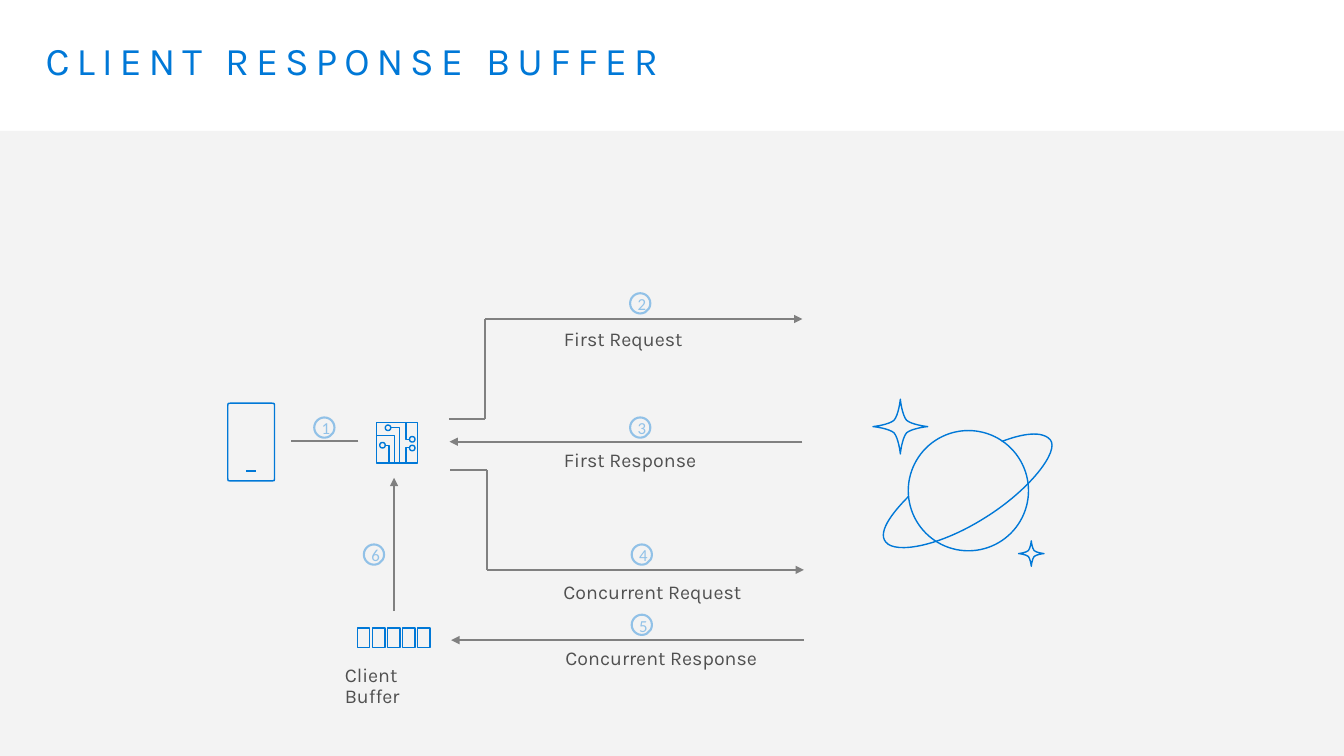
from dataclasses import dataclass

from lxml.etree import SubElement
from pptx import Presentation
from pptx.dml.color import RGBColor
from pptx.enum.shapes import MSO_CONNECTOR, MSO_SHAPE
from pptx.enum.text import MSO_ANCHOR, PP_ALIGN
from pptx.oxml.ns import qn
from pptx.util import Cm, Pt


@dataclass(frozen=True)
class Theme:
    accent: RGBColor = RGBColor(0x00, 0x78, 0xD7)
    band: RGBColor = RGBColor(0xF2, 0xF2, 0xF2)
    badge: RGBColor = RGBColor(0xF3, 0xF3, 0xF3)
    number: RGBColor = RGBColor(0x92, 0xC2, 0xE8)
    arrow: RGBColor = RGBColor(0x80, 0x80, 0x80)
    text: RGBColor = RGBColor(0x50, 0x50, 0x50)
    font: str = "Karla"
    number_font: str = "Calibri"
    title_size: Pt = Pt(28)
    label_size: Pt = Pt(14)
    number_size: Pt = Pt(12)
    icon_line: Pt = Pt(1)
    flow_line: Pt = Pt(1.5)


T = Theme()


def set_alpha(fill_element, percent):
    color = next(fill_element.iter(qn("a:srgbClr")))
    SubElement(color, qn("a:alpha")).set("val", str(percent * 1000))


def outline(sp):
    """Leave only a thin accent outline."""
    sp.shadow.inherit = False
    sp.fill.background()
    sp.line.color.rgb = T.accent
    sp.line.width = T.icon_line
    return sp


def add_icon_shape(s, kind, x, y, w, h):
    return outline(s.shapes.add_shape(kind, Cm(x), Cm(y), Cm(w), Cm(h)))


def add_curves(s, x, y, *contours):
    """Draw (points, closed) contours, each a chain of cubic Bezier segments in cm from (x, y)."""
    builder = None
    for points, closed in contours:
        start, *rest = [(Cm(x + px), Cm(y + py)) for px, py in points]
        if builder is None:
            builder = s.shapes.build_freeform(*start)
        else:
            builder.move_to(*start)
        builder.add_line_segments(rest, close=closed)
    sp = outline(builder.convert_to_shape())
    lines = list(sp._element.iter(qn("a:lnTo")))
    for i in range(0, len(lines), 3):
        segment = lines[i].makeelement(qn("a:cubicBezTo"))
        lines[i].addprevious(segment)
        for line in lines[i:i + 3]:
            segment.append(line[0])
            line.getparent().remove(line)
    return sp


def add_line(s, start, end, kind=MSO_CONNECTOR.STRAIGHT, color=T.arrow, width=T.flow_line):
    c = s.shapes.add_connector(kind, *map(Cm, start + end))
    c.line.color.rgb = color
    c.line.width = width
    SubElement(c._element.spPr, qn("a:effectLst"))
    return c


def add_route(s, *points):
    """Join the points with lines, the last one ending in an arrowhead."""
    for start, end in zip(points, points[1:]):
        c = add_line(s, start, end)
    SubElement(c.line._get_or_add_ln(), qn("a:tailEnd")).set("type", "triangle")


def add_text(s, text, x, y, w, h, size, color, inset):
    tf = s.shapes.add_textbox(Cm(x), Cm(y), Cm(w), Cm(h)).text_frame
    tf.word_wrap = True
    tf.margin_left = tf.margin_right = Cm(inset[0])
    tf.margin_top = tf.margin_bottom = Cm(inset[1])
    p = tf.paragraphs[0]
    p.line_spacing = 0.9
    r = p.add_run()
    r.text = text
    p.font.name, p.font.size, p.font.color.rgb = T.font, size, color
    return r


def add_label(s, text, x, y, w):
    add_text(s, text, x, y, w, 1.37, T.label_size, T.text, (0.51, 0.41))


def add_badge(s, number, x, y, size=0.51):
    sp = add_icon_shape(s, MSO_SHAPE.OVAL, x, y, size, size)
    sp.fill.solid()
    sp.fill.fore_color.rgb = T.badge
    sp.line.width = T.flow_line
    set_alpha(sp.line._get_or_add_ln(), 40)
    tf = sp.text_frame
    tf.word_wrap = False
    tf.vertical_anchor = MSO_ANCHOR.MIDDLE
    tf.margin_left, tf.margin_top = Cm(0.08), Cm(0.03)
    tf.margin_right = tf.margin_bottom = 0
    p = tf.paragraphs[0]
    p.text = str(number)
    p.alignment = PP_ALIGN.CENTER
    p.font.name, p.font.size = T.number_font, T.number_size
    p.font.color.rgb = T.number


def add_header(s, w, h, title):
    band = s.shapes.add_shape(MSO_SHAPE.RECTANGLE, 0, Cm(3.3), Cm(w), Cm(h - 3.3))
    band.shadow.inherit = False
    band.fill.solid()
    band.fill.fore_color.rgb = T.band
    set_alpha(band._element.spPr, 89)
    band.line.fill.background()
    r = add_text(s, title, 0.74, 0.81, w - 1.48, 2.49, T.title_size, T.accent, (0.41, 0.25))
    r._r.get_or_add_rPr().set("spc", "500")


def add_star(s, cx, cy, radius):
    points = [(-radius, 0)]
    dx, dy = radius, 0
    for _ in range(4):
        for along, side in ((-0.96, 0), (-0.41, 0.07), (-0.23, 0.23),
                            (-0.07, 0.41), (0, 0.96), (0, 1)):
            points.append((along * dx + side * dy, along * dy - side * dx))
        dx, dy = -dy, dx
    add_curves(s, cx, cy, (points, True))


def add_planet(s, x, y):
    add_star(s, x + 0.69, y + 0.69, 0.69)
    add_star(s, x + 3.99, y + 3.89, 0.32)
    add_icon_shape(s, MSO_SHAPE.OVAL, x + 0.89, y + 0.79, 3.03, 3.03)
    orbit = add_curves(s, x + 2.44, y + 2.36, ((
        (1.37, -0.66), (1.7, -0.6), (2.37, -0.42), (2.43, -0.05), (2.49, 0.32),
        (1.32, 0.75), (-0.02, 0.74), (-1.36, 0.74), (-2.4, 0.32), (-2.45, -0.07),
        (-2.51, -0.44), (-1.75, -0.65), (-1.36, -0.74)), False))
    orbit.rotation = 327.8


def add_phone(s, x, y, w, h, radius=0.07):
    points = [(w - radius, h)]
    for corner, edge in (((0, h), (radius, h)), ((0, 0), (0, radius)),
                         ((w, 0), (w - radius, 0)), ((w, h), (w, h - radius))):
        cx, cy = corner
        turned = (cx + radius if edge[0] == cx and cx == 0 else cx - radius if edge[0] == cx
                  else cx, cy if edge[0] == cx else cy + radius if cy == 0 else cy - radius)
        points += [edge] * 3 + [corner, corner, turned]
    home = [(0.4 * w, 0.87 * h)] + [(0.6 * w, 0.87 * h)] * 3
    add_curves(s, x, y, (points, True), (home, False))


def add_chip(s, x, y, size):
    add_icon_shape(s, MSO_SHAPE.RECTANGLE, x, y, size, size)
    for (x1, y1), (x2, y2) in (((0, 0.34), (0.46, size)), ((0.22, 0.58), (0.31, size)),
                               ((0.36, 0.14), (0.58, size)), ((0.84, 0.43), (0.74, 0)),
                               ((0.84, 0.64), (0.74, size))):
        trace = add_line(s, (x + x1, y + y1), (x + x2, y + y2), MSO_CONNECTOR.ELBOW,
                         T.accent, T.icon_line)
        trace._element.spPr.find(qn("a:prstGeom")).set("prst", "bentConnector2")
    for nx, ny in ((0.22, 0.07), (0.08, 0.51), (0.83, 0.36), (0.83, 0.58)):
        add_icon_shape(s, MSO_SHAPE.OVAL, x + nx, y + ny, 0.14, 0.14)


def add_buffer(s, x, y):
    for i in range(5):
        add_icon_shape(s, MSO_SHAPE.RECTANGLE, x + i * 0.38, y, 0.31, 0.49)
    add_label(s, "Client Buffer", x - 0.83, y + 0.53, 3.81)


def add_message(s, x, y, number, text, label, badge_rise, bend=None):
    """Draw a response to the left at y, or a request that leaves at height bend."""
    right = x + 8.89
    if bend is None:
        add_route(s, (right, y), (x, y))
    else:
        add_route(s, (x - 0.02, bend), (x + 0.9, bend), (x + 0.9, y), (right, y))
    dx, dy, width = label
    add_label(s, text, x + dx, y + dy, width)
    add_badge(s, number, x + 4.55, y - badge_rise)


def add_diagram(s, x, y):
    add_phone(s, x, y, 1.18, 1.96)
    add_line(s, (x + 3.29, y + 0.95), (x + 1.59, y + 0.95))
    add_badge(s, 1, x + 2.18, y + 0.36)
    add_chip(s, x + 3.75, y + 0.48, 1.03)
    for number, text, dx, dy, label, rise, bend in (
            (2, "First Request", 5.59, -2.12, (2.37, 0, 5.05), 0.65, y + 0.4),
            (3, "First Response", 5.59, 0.97, (2.37, -0.05, 5.05), 0.61, None),
            (4, "Concurrent Request", 5.63, 4.2, (2.32, 0.05, 5.99), 0.64, y + 1.68),
            (5, "Concurrent Response", 5.63, 5.97, (2.37, -0.05, 6.48), 0.64, None)):
        add_message(s, x + dx, y + dy, number, text, label, rise, bend)
    add_buffer(s, x + 3.27, y + 5.67)
    add_route(s, (x + 4.19, y + 5.24), (x + 4.19, y + 1.88))
    add_badge(s, 6, x + 3.43, y + 3.56)
    add_planet(s, x + 16.26, y - 0.1)


def main():
    prs = Presentation()
    width, height = 33.87, 19.05
    prs.slide_width, prs.slide_height = Cm(width), Cm(height)
    s = prs.slides.add_slide(prs.slide_layouts[6])
    add_header(s, width, height, "CLIENT RESPONSE BUFFER")
    add_diagram(s, 5.74, 10.16)
    prs.save("out.pptx")


if __name__ == "__main__":
    main()
